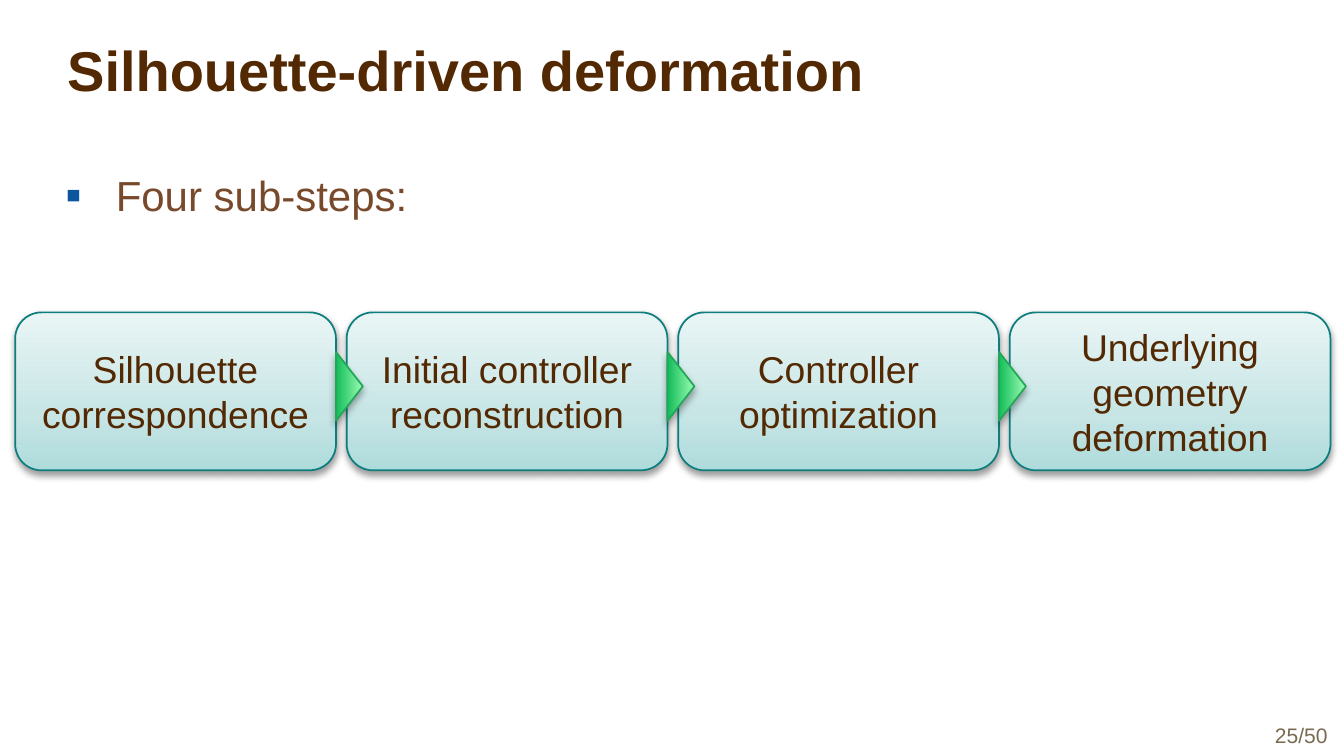
from lxml.etree import SubElement as Sub
from pptx import Presentation
from pptx.dml.color import RGBColor as RGB
from pptx.enum.shapes import MSO_SHAPE as Shape
from pptx.enum.text import MSO_ANCHOR as Anchor, PP_ALIGN as Align
from pptx.oxml.ns import qn
from pptx.util import Inches, Pt

# Content
TITLE = "Silhouette-driven deformation"
LEAD = "Four sub-steps:"
STEPS = [
    "Silhouette correspondence",
    "Initial controller reconstruction",
    "Controller optimization",
    "Underlying geometry deformation",
]
PAGE = "25/50"

# Look
HUE = {
    "dark": "532903", "lead": "784A2B", "page": "796B51", "mark": "0C569E",
    "edge": "0E7D7D", "tip": "22A759", "shade": "000000",
}
BOX_FILL = [(0, "AEDBDB"), (35, "C7E5E5"), (100, "E9F5F5")]
TIP_FILL = [(0, "12BC59"), (100, "9BFCB2")]

# Grid in inches: steps run from LEFT to LAST in equal columns
WIDE, HIGH = 8, 4.5
LEFT, LAST, TOP = 0.09, 6.01, 1.86
BOX_W, BOX_H = 1.91, 0.94
PITCH = (LAST - LEFT) / (len(STEPS) - 1)
TIP_W, TIP_H = 0.41, 0.16


def place(shape, x, y, w, h):
    shape.left, shape.top = Inches(x), Inches(y)
    shape.width, shape.height = Inches(w), Inches(h)


def write(shape, text, size=16, color="dark", bold=False, align=Align.LEFT,
          anchor=Anchor.MIDDLE, inset=(0.1, 0.05, 0.1, 0.05)):
    frame = shape.text_frame
    frame.word_wrap = True
    frame.vertical_anchor = anchor
    (frame.margin_left, frame.margin_top,
     frame.margin_right, frame.margin_bottom) = map(Inches, inset)
    para = frame.paragraphs[0]
    para.alignment = align
    para.space_before = Pt(0)
    run = para.add_run()
    run.text = text
    font = run.font
    font.name, font.size, font.bold = "Arial", Pt(size), bold
    font.color.rgb = RGB.from_string(HUE[color])
    return para


def bullet(para, sign, color, size, indent):
    props = para._p.get_or_add_pPr()
    props.set("marL", str(Inches(indent)))
    props.set("indent", str(-Inches(indent)))
    Sub(Sub(props, qn("a:buClr")), qn("a:srgbClr"), val=HUE[color])
    Sub(props, qn("a:buSzPct"), val=str(size * 1000))
    Sub(props, qn("a:buFont"), typeface="Arial")
    Sub(props, qn("a:buChar"), char=sign)


def glow(shape, stops, edge, alpha, drop):
    """Upward gradient, thin outline and soft shadow below."""
    shape.fill.gradient()
    grad = shape._element.spPr.find(qn("a:gradFill"))
    for old in list(grad):
        grad.remove(old)
    ramp = Sub(grad, qn("a:gsLst"))
    for pos, color in stops:
        stop = Sub(ramp, qn("a:gs"), pos=str(pos * 1000))
        Sub(stop, qn("a:srgbClr"), val=color)
    Sub(grad, qn("a:lin"), ang=str(270 * 60000), scaled="0")
    shape.line.color.rgb = RGB.from_string(HUE[edge])
    shape.line.width = Pt(0.75)
    shape.shadow.inherit = False
    effects = shape._element.spPr.find(qn("a:effectLst"))
    cast = Sub(effects, qn("a:outerShdw"), blurRad=str(Pt(3.1)),
               dist=str(Pt(drop)), dir=str(90 * 60000), rotWithShape="0")
    tint = Sub(cast, qn("a:srgbClr"), val=HUE["shade"])
    Sub(tint, qn("a:alpha"), val=str(alpha * 1000))


def main():
    deck = Presentation()
    deck.slide_width, deck.slide_height = Inches(WIDE), Inches(HIGH)
    slide = deck.slides.add_slide(deck.slide_layouts[5])
    shapes = slide.shapes

    # Title
    place(shapes.title, 0.32, 0.17, 6.94, 0.48)
    write(shapes.title, TITLE, size=24, bold=True, anchor=Anchor.BOTTOM,
          inset=(0.08, 0.04, 0.08, 0.04))

    # Page number
    page = shapes.add_textbox(0, 0, 0, 0)
    place(page, WIDE - 0.78, HIGH - 0.25, 0.78, 0.25)
    write(page, PAGE, size=9, color="page", align=Align.RIGHT)

    # Step boxes
    for i, step in enumerate(STEPS):
        box = shapes.add_shape(Shape.ROUNDED_RECTANGLE, 0, 0, 0, 0)
        place(box, LEFT + i * PITCH, TOP, BOX_W, BOX_H)
        glow(box, BOX_FILL, "edge", alpha=38, drop=1.6)
        write(box, step, align=Align.CENTER)

    # Lead line
    lead = shapes.add_textbox(0, 0, 0, 0)
    place(lead, 0.31, 0.91, 7.47, 0.56)
    para = write(lead, LEAD, size=18, color="lead", anchor=Anchor.TOP,
                 inset=(0.08, 0.07, 0.08, 0.04))
    para.line_spacing = 1.1
    para.space_after = Pt(2)
    bullet(para, "▪", "mark", size=110, indent=0.3)

    # Pointers on the right edge of every box but the last
    for i in range(len(STEPS) - 1):
        tip = shapes.add_shape(Shape.ISOSCELES_TRIANGLE, 0, 0, 0, 0)
        mid = LEFT + i * PITCH + BOX_W + TIP_H / 2
        place(tip, mid - TIP_W / 2, 2.22, TIP_W, TIP_H)
        tip.rotation = 90
        glow(tip, TIP_FILL, "tip", alpha=35, drop=1.8)

    deck.save("out.pptx")


if __name__ == "__main__":
    main()
